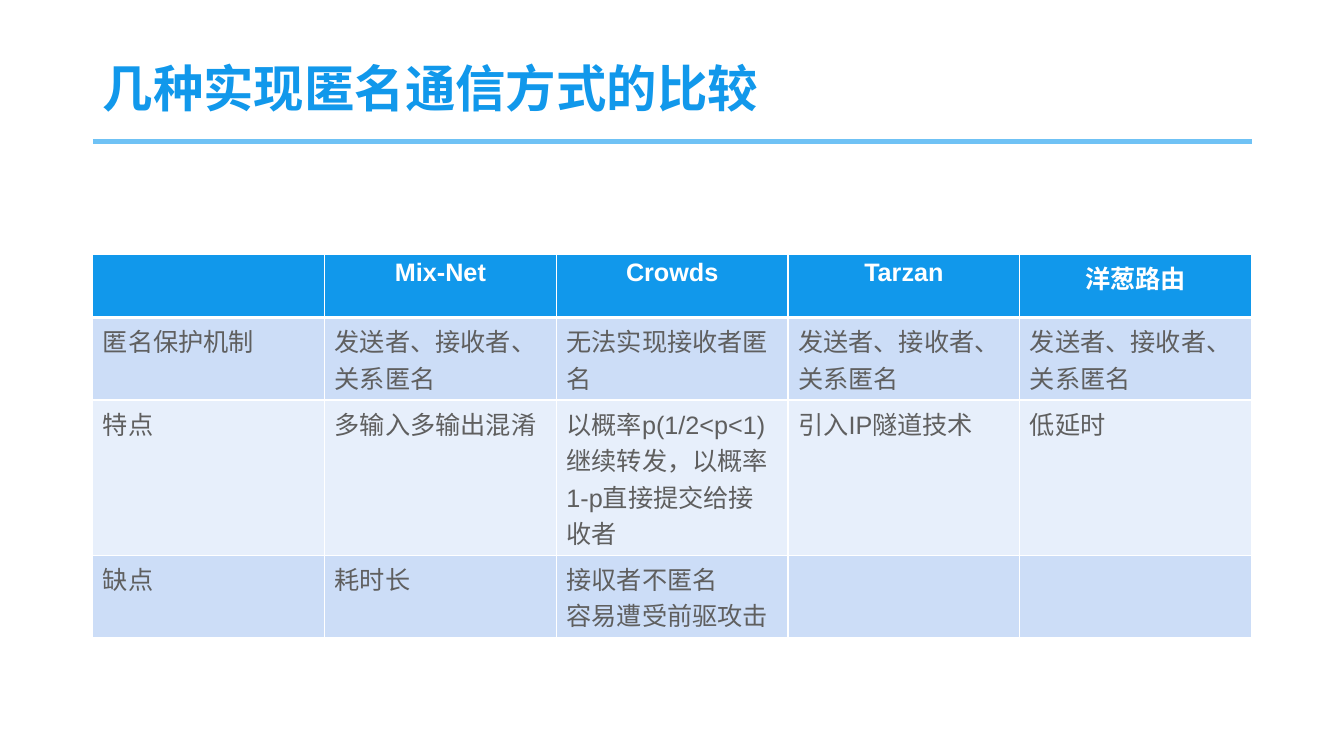
from dataclasses import dataclass

from lxml.etree import SubElement
from pptx import Presentation
from pptx.dml.color import RGBColor
from pptx.enum.shapes import MSO_CONNECTOR
from pptx.enum.text import MSO_ANCHOR, PP_ALIGN
from pptx.oxml.ns import qn
from pptx.util import Cm, Pt

BLUE, SKY, WHITE, GREY = "1198EB", "6FC2F5", "FFFFFF", "5F5F5F"
DARK, PALE = "CCDDF7", "E7EFFB"
LEFT, WIDTH = 2.34, 29.2


@dataclass(frozen=True)
class Style:
    size: float
    color: str
    bold: bool = False
    align: PP_ALIGN = PP_ALIGN.LEFT


@dataclass(frozen=True)
class Row:
    height: float
    fill: str
    style: Style
    texts: tuple[str, ...]
    top: float = 1
    bottom: float = 1


TITLE = Style(36, BLUE, True)
HEAD = Style(18, WHITE, True, PP_ALIGN.CENTER)
BODY = Style(18, GREY)

ROWS = (
    Row(1.6, BLUE, HEAD, ("", "Mix-Net", "Crowds", "Tarzan", "洋葱路由"), bottom=3),
    Row(2.08, DARK, BODY, (
        "匿名保护机制", "发送者、接收者、关系匿名", "无法实现接收者匿名",
        "发送者、接收者、关系匿名", "发送者、接收者、关系匿名"), top=3),
    Row(3.91, PALE, BODY, (
        "特点", "多输入多输出混淆",
        "以概率p(1/2<p<1)继续转发，以概率1-p直接提交给接收者",
        "引入IP隧道技术", "低延时")),
    Row(2.08, DARK, BODY, (
        "缺点", "耗时长", "接収者不匿名\n容易遭受前驱攻击", "", "")),
)


def color(code: str) -> RGBColor:
    return RGBColor.from_string(code)


def write(frame, text: str, style: Style) -> None:
    for index, line in enumerate(text.split("\n")):
        para = frame.add_paragraph() if index else frame.paragraphs[0]
        para.alignment = style.align
        if line:
            run = para.add_run()
            run.text = line
            run.font.name = "Arial"
            run.font.size = Pt(style.size)
            run.font.bold = style.bold
            run.font.color.rgb = color(style.color)
        else:
            para.font.size = Pt(style.size)


def border(cell, row: Row) -> None:
    props = cell._tc.get_or_add_tcPr()
    sides = {"a:lnL": 1, "a:lnR": 1, "a:lnT": row.top, "a:lnB": row.bottom}
    for tag, width in sides.items():
        line = SubElement(props, qn(tag), w=str(Pt(width)))
        fill = SubElement(line, qn("a:solidFill"))
        SubElement(fill, qn("a:srgbClr"), val=WHITE)


def draw_title(slide) -> None:
    box = slide.shapes.add_textbox(Cm(LEFT), Cm(1.02), Cm(WIDTH), Cm(2.54))
    frame = box.text_frame
    frame.word_wrap = True
    frame.vertical_anchor = MSO_ANCHOR.MIDDLE
    write(frame, "几种实现匿名通信方式的比较", TITLE)
    frame.paragraphs[0].line_spacing = 0.9


def draw_rule(slide) -> None:
    rule = slide.shapes.add_connector(
        MSO_CONNECTOR.STRAIGHT, Cm(LEFT), Cm(3.56), Cm(LEFT + WIDTH), Cm(3.56))
    rule.line.color.rgb = color(SKY)
    rule.line.width = Pt(3.5)
    SubElement(rule._element.spPr, qn("a:effectLst"))


def draw_table(slide) -> None:
    count = len(ROWS[0].texts)
    height = sum(row.height for row in ROWS)
    table = slide.shapes.add_table(
        len(ROWS), count, Cm(LEFT), Cm(6.4), Cm(WIDTH), Cm(height)).table
    for column in table.columns:
        column.width = Cm(WIDTH / count)
    for y, row in enumerate(ROWS):
        table.rows[y].height = Cm(row.height)
        for x, text in enumerate(row.texts):
            cell = table.cell(y, x)
            border(cell, row)
            cell.fill.solid()
            cell.fill.fore_color.rgb = color(row.fill)
            write(cell.text_frame, text, row.style)


def main() -> None:
    deck = Presentation()
    deck.slide_width, deck.slide_height = Cm(33.87), Cm(19.05)
    slide = deck.slides.add_slide(deck.slide_layouts[6])
    draw_title(slide)
    draw_rule(slide)
    draw_table(slide)
    deck.save("out.pptx")


if __name__ == "__main__":
    main()
